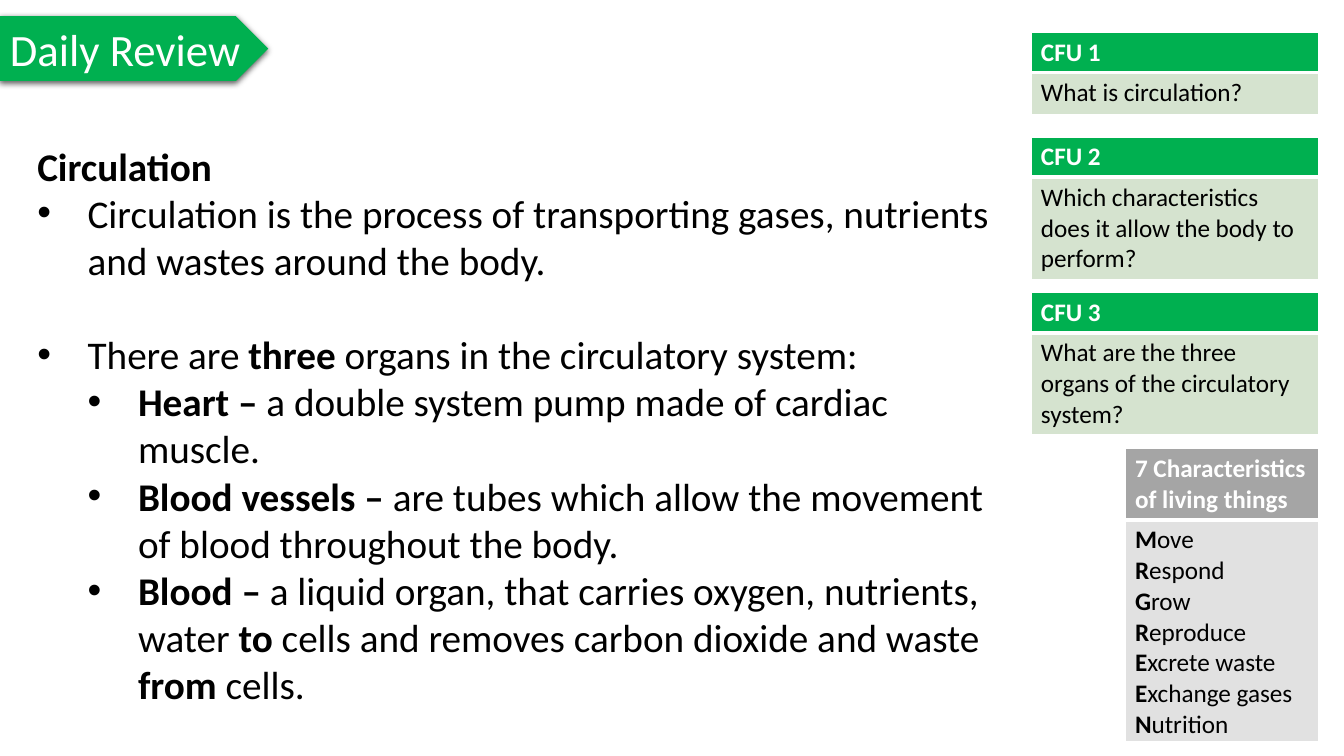
from dataclasses import dataclass

from lxml.etree import SubElement
from pptx import Presentation
from pptx.dml.color import RGBColor
from pptx.enum.shapes import MSO_SHAPE
from pptx.enum.text import MSO_ANCHOR, MSO_AUTO_SIZE, PP_ALIGN
from pptx.oxml.ns import qn
from pptx.slide import Slide
from pptx.table import _Cell
from pptx.text.text import _Paragraph
from pptx.util import Cm, Pt

GREEN = RGBColor(0x00, 0xB0, 0x50)
PALE_GREEN = RGBColor(0xD5, 0xE3, 0xCF)
GREY = RGBColor(0xA5, 0xA5, 0xA5)
PALE_GREY = RGBColor(0xE1, 0xE1, 0xE1)
WHITE = RGBColor(0xFF, 0xFF, 0xFF)
BLACK = RGBColor(0x00, 0x00, 0x00)
FONT = "Calibri"
BOLD_MARK = "*"
INDENT = Cm(1.27)
THIN, THICK = Pt(1), Pt(3)


@dataclass(frozen=True)
class Card:
    title: str
    lines: tuple[str, ...]
    left: float
    top: float
    width: float
    title_height: float
    body_height: float
    title_color: RGBColor
    body_color: RGBColor


@dataclass(frozen=True)
class Note:
    text: str
    depth: int
    space_before: float = 0


def question_card(number: int, question: str, top: float, body_height: float) -> Card:
    return Card(f"CFU {number}", (question,), 25.98, top, 7.24, 0.99, body_height,
                GREEN, PALE_GREEN)


CARDS = (
    question_card(1, "What is circulation?", 0.81, 1.05),
    question_card(2, "Which characteristics does it allow the body to perform?", 3.45, 2.57),
    question_card(3, "What are the three organs of the circulatory system?", 7.37, 2.57),
    Card(
        "7 Characteristics of living things",
        ("*M*ove", "*R*espond", "*G*row", "*R*eproduce", "*E*xcrete waste",
         "*E*xchange gases", "*N*utrition"),
        28.35, 11.3, 4.88, 1.8, 5.6, GREY, PALE_GREY,
    ),
)

NOTES = (
    Note("*Circulation*", 0),
    Note("Circulation is the process of transporting gases, nutrients and wastes "
         "around the body.", 1),
    Note("There are *three* organs in the circulatory system:", 1, 34),
    Note("*Heart – *a double system pump made of cardiac muscle.", 2),
    Note("*Blood vessels – *are tubes which allow the movement of blood throughout "
         "the body.", 2),
    Note("*Blood – *a liquid organ, that carries oxygen, nutrients, water *to* cells "
         "and removes carbon dioxide and waste *from* cells.", 2),
)


def write_text(para: _Paragraph, text: str, size: float, color: RGBColor) -> None:
    para.font.name = FONT
    para.font.size = Pt(size)
    para.font.color.rgb = color
    for index, piece in enumerate(text.split(BOLD_MARK)):
        if piece:
            span = para.add_run()
            span.text = piece
            span.font.bold = index % 2 == 1


def add_bullet(para: _Paragraph, depth: int) -> None:
    para.level = depth - 1
    properties = para._p.get_or_add_pPr()
    properties.set("marL", str(depth * INDENT))
    properties.set("indent", str(-INDENT))
    SubElement(properties, qn("a:buFont"), typeface="Arial")
    SubElement(properties, qn("a:buChar"), char="•")


def add_borders(cell: _Cell, top: int, bottom: int) -> None:
    properties = cell._tc.get_or_add_tcPr()
    widths = {"a:lnL": THIN, "a:lnR": THIN, "a:lnT": top, "a:lnB": bottom}
    for side, width in widths.items():
        line = SubElement(properties, qn(side), w=str(width))
        fill = SubElement(line, qn("a:solidFill"))
        SubElement(fill, qn("a:srgbClr"), val=str(WHITE))


def fill_cell(cell: _Cell, lines: tuple[str, ...], background: RGBColor,
              color: RGBColor) -> None:
    cell.fill.solid()
    cell.fill.fore_color.rgb = background
    frame = cell.text_frame
    for index, line in enumerate(lines):
        para = frame.add_paragraph() if index else frame.paragraphs[0]
        write_text(para, line, 18, color)


def add_card(page: Slide, card: Card) -> None:
    table = page.shapes.add_table(
        2, 1, Cm(card.left), Cm(card.top), Cm(card.width),
        Cm(card.title_height + card.body_height),
    ).table
    table.first_row = False
    table.horz_banding = False
    table.rows[0].height = Cm(card.title_height)
    table.rows[1].height = Cm(card.body_height)
    title, body = table.cell(0, 0), table.cell(1, 0)
    add_borders(title, THIN, THICK)
    add_borders(body, THICK, THIN)
    fill_cell(title, (f"*{card.title}*",), card.title_color, WHITE)
    fill_cell(body, card.lines, card.body_color, BLACK)


def add_banner(page: Slide) -> None:
    banner = page.shapes.add_shape(MSO_SHAPE.PENTAGON, Cm(0), Cm(0.41), Cm(6.76), Cm(1.63))
    banner.fill.solid()
    banner.fill.fore_color.rgb = GREEN
    banner.line.fill.background()
    banner.shadow.inherit = False
    effects = banner._element.spPr.find(qn("a:effectLst"))
    shadow = SubElement(effects, qn("a:outerShdw"), blurRad=str(Pt(4.5)),
                        dist=str(Pt(1.5)), dir="5400000", rotWithShape="0")
    tint = SubElement(shadow, qn("a:srgbClr"), val=str(BLACK))
    SubElement(tint, qn("a:alpha"), val="63000")
    frame = banner.text_frame
    frame.word_wrap = False
    frame.auto_size = MSO_AUTO_SIZE.SHAPE_TO_FIT_TEXT
    frame.vertical_anchor = MSO_ANCHOR.MIDDLE
    para = frame.paragraphs[0]
    para.alignment = PP_ALIGN.LEFT
    write_text(para, "Daily Review", 32, WHITE)


def add_notes(page: Slide) -> None:
    box = page.shapes.add_textbox(Cm(0.69), Cm(3.45), Cm(25.1), Cm(14.63))
    frame = box.text_frame
    frame.word_wrap = True
    frame.auto_size = MSO_AUTO_SIZE.SHAPE_TO_FIT_TEXT
    for index, note in enumerate(NOTES):
        para = frame.add_paragraph() if index else frame.paragraphs[0]
        if note.space_before:
            para.space_before = Pt(note.space_before)
        if note.depth:
            add_bullet(para, note.depth)
        write_text(para, note.text, 28, BLACK)


def main() -> None:
    deck = Presentation()
    deck.slide_width = Cm(33.87)
    deck.slide_height = Cm(19.05)
    page = deck.slides.add_slide(deck.slide_layouts[6])
    add_banner(page)
    add_notes(page)
    for card in CARDS:
        add_card(page, card)
    deck.save("out.pptx")


if __name__ == "__main__":
    main()
